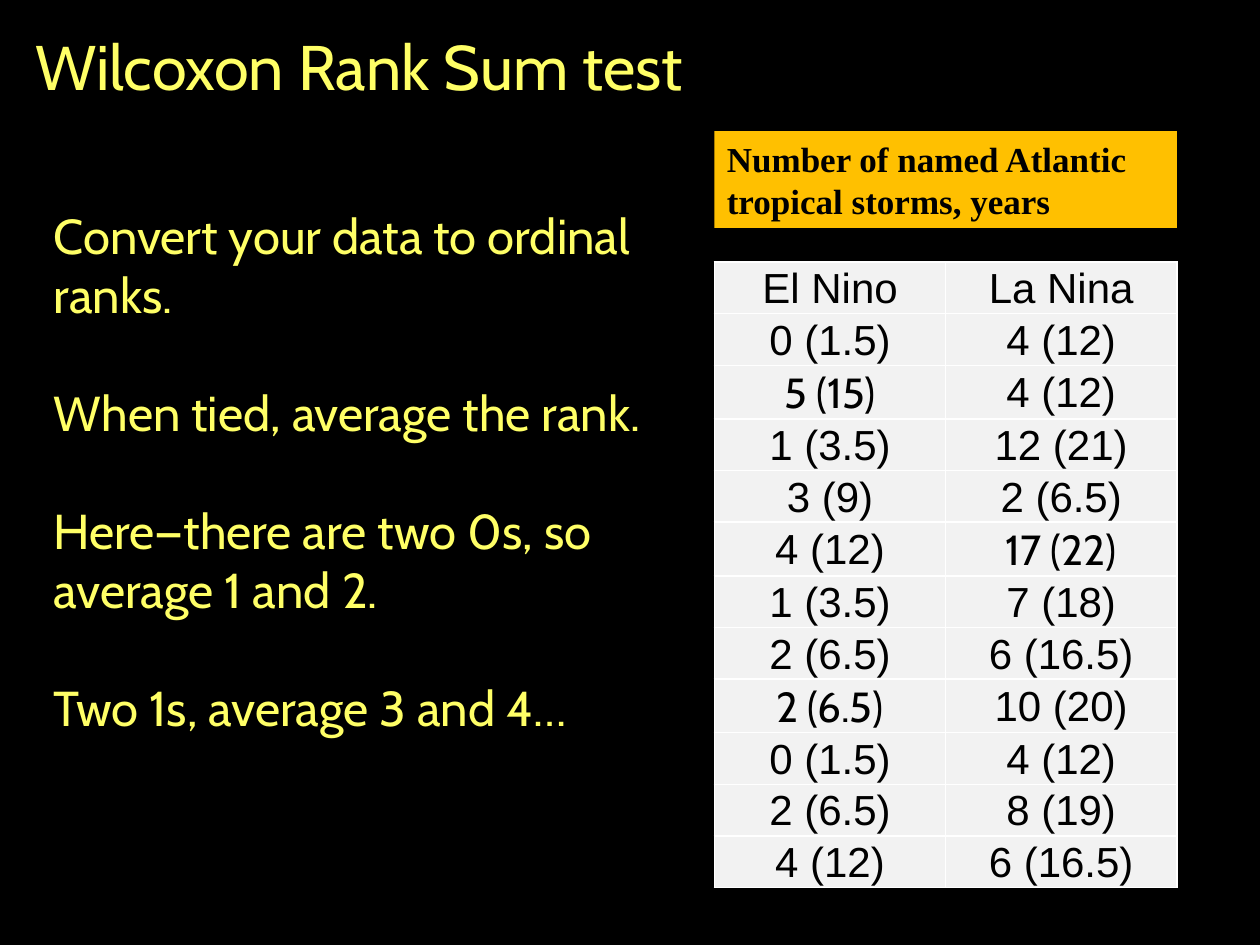
import dataclasses
import typing

import lxml.etree
import pptx
import pptx.dml.color
import pptx.enum.shapes
import pptx.enum.text
import pptx.oxml.ns
import pptx.util

HEX = {"back": "000000", "text": "FFFF66", "bar": "FFC000",
       "ink": "000000", "cell": "F2F2F2", "rule": "FFFFFF"}
UNIT = pptx.util.Inches(0.1)  # the slide is 100 columns by 75 rows
ALIGN = pptx.enum.text.PP_ALIGN
ANCHOR = pptx.enum.text.MSO_ANCHOR


@dataclasses.dataclass(frozen=True)
class Area:
    col: float
    row: float
    cols: float
    rows: float

    def emu(self) -> list[int]:
        return [round(n * UNIT) for n in dataclasses.astuple(self)]


@dataclasses.dataclass(frozen=True)
class Style:
    name: str
    size: int
    color: str
    bold: bool = False
    align: typing.Any = ALIGN.LEFT
    gap: int = 0


TITLE = Style("Cabin", 36, "text")
BODY = Style("Cabin", 28, "text", gap=34)
LABEL = Style("Times New Roman", 20, "ink", bold=True)
DATA = Style("Arial", 24, "ink", align=ALIGN.CENTER)
ALT = dataclasses.replace(DATA, name="Cabin")

STEPS = ["Convert your data to ordinal ranks.",
         "When tied, average the rank.",
         "Here—there are two 0s, so average 1 and 2.",
         "Two 1s, average 3 and 4…"]
STORMS = [("El Nino", "La Nina"),
          ("0 (1.5)", "4 (12)"), ("5 (15)", "4 (12)"),
          ("1 (3.5)", "12 (21)"), ("3 (9)", "2 (6.5)"),
          ("4 (12)", "17 (22)"), ("1 (3.5)", "7 (18)"),
          ("2 (6.5)", "6 (16.5)"), ("2 (6.5)", "10 (20)"),
          ("0 (1.5)", "4 (12)"), ("2 (6.5)", "8 (19)"),
          ("4 (12)", "6 (16.5)")]
CABIN = {(2, 0), (5, 1), (8, 0)}  # row and column of cells set in Cabin


def rgb(key: str) -> pptx.dml.color.RGBColor:
    return pptx.dml.color.RGBColor.from_string(HEX[key])


def paint(fill: typing.Any, key: str) -> None:
    fill.solid()
    fill.fore_color.rgb = rgb(key)


def apply(item: typing.Any, form: dict[str, typing.Any]) -> None:
    for key, value in form.items():
        setattr(item, key, value)


def write(frame: typing.Any, lines: list[str], style: Style) -> None:
    for i, line in enumerate(lines):
        para = frame.add_paragraph() if i else frame.paragraphs[0]
        para.alignment = style.align
        if i:
            para.space_before = pptx.util.Pt(style.gap)
        run = para.add_run()
        run.text = line
        apply(run.font, {"name": style.name, "bold": style.bold,
                         "size": pptx.util.Pt(style.size)})
        run.font.color.rgb = rgb(style.color)


def fit(shape: typing.Any, area: Area, lines: list[str], style: Style) -> None:
    """Place a shape and fill it with text from the top left."""
    apply(shape, dict(zip(("left", "top", "width", "height"), area.emu())))
    apply(shape.text_frame, {"word_wrap": True, "vertical_anchor": ANCHOR.TOP,
                             "auto_size": pptx.enum.text.MSO_AUTO_SIZE.NONE})
    write(shape.text_frame, lines, style)


def edge(cell: typing.Any) -> None:
    """Rule all four sides of a cell."""
    props = cell._tc.get_or_add_tcPr()
    tag = pptx.oxml.ns.qn
    for side in "LRTB":
        line = lxml.etree.SubElement(props, tag(f"a:ln{side}"),
                                     w=str(pptx.util.Pt(1)))
        fill = lxml.etree.SubElement(line, tag("a:solidFill"))
        lxml.etree.SubElement(fill, tag("a:srgbClr"), val=HEX["rule"])


def draw_table(slide: typing.Any, area: Area) -> None:
    rows, cols = len(STORMS), len(STORMS[0])
    table = slide.shapes.add_table(rows, cols, *area.emu()).table
    apply(table, {"first_row": False, "horz_banding": False})
    pad = pptx.util.Inches(0.02)
    form = {"margin_left": pad, "margin_right": pad, "margin_top": pad,
            "margin_bottom": 0, "vertical_anchor": ANCHOR.MIDDLE}
    for r, pair in enumerate(STORMS):
        for c, text in enumerate(pair):
            cell = table.cell(r, c)
            edge(cell)
            paint(cell.fill, "cell")
            apply(cell, form)
            write(cell.text_frame, [text], ALT if (r, c) in CABIN else DATA)


def main() -> None:
    deck = pptx.Presentation()
    apply(deck, {"slide_width": 100 * UNIT, "slide_height": 75 * UNIT})
    slide = deck.slides.add_slide(deck.slide_layouts.get_by_name("Title Only"))
    paint(slide.background.fill, "back")
    fit(slide.shapes.title, Area(1.8, 1.7, 87.3, 7.7),
        ["Wilcoxon Rank Sum test"], TITLE)

    rect = pptx.enum.shapes.MSO_SHAPE.RECTANGLE
    bar = slide.shapes.add_shape(rect, 0, 0, UNIT, UNIT)
    bar.shadow.inherit = False
    paint(bar.fill, "bar")
    bar.line.fill.background()
    fit(bar, Area(56.7, 10.4, 36.7, 7.7),
        ["Number of named Atlantic tropical storms, years"], LABEL)

    box = slide.shapes.add_textbox(0, 0, UNIT, UNIT)
    fit(box, Area(3.3, 15.8, 49.2, 48.1), STEPS, BODY)
    draw_table(slide, Area(56.7, 20.8, 36.7, 4.1 * len(STORMS)))
    deck.save("out.pptx")


if __name__ == "__main__":
    main()
